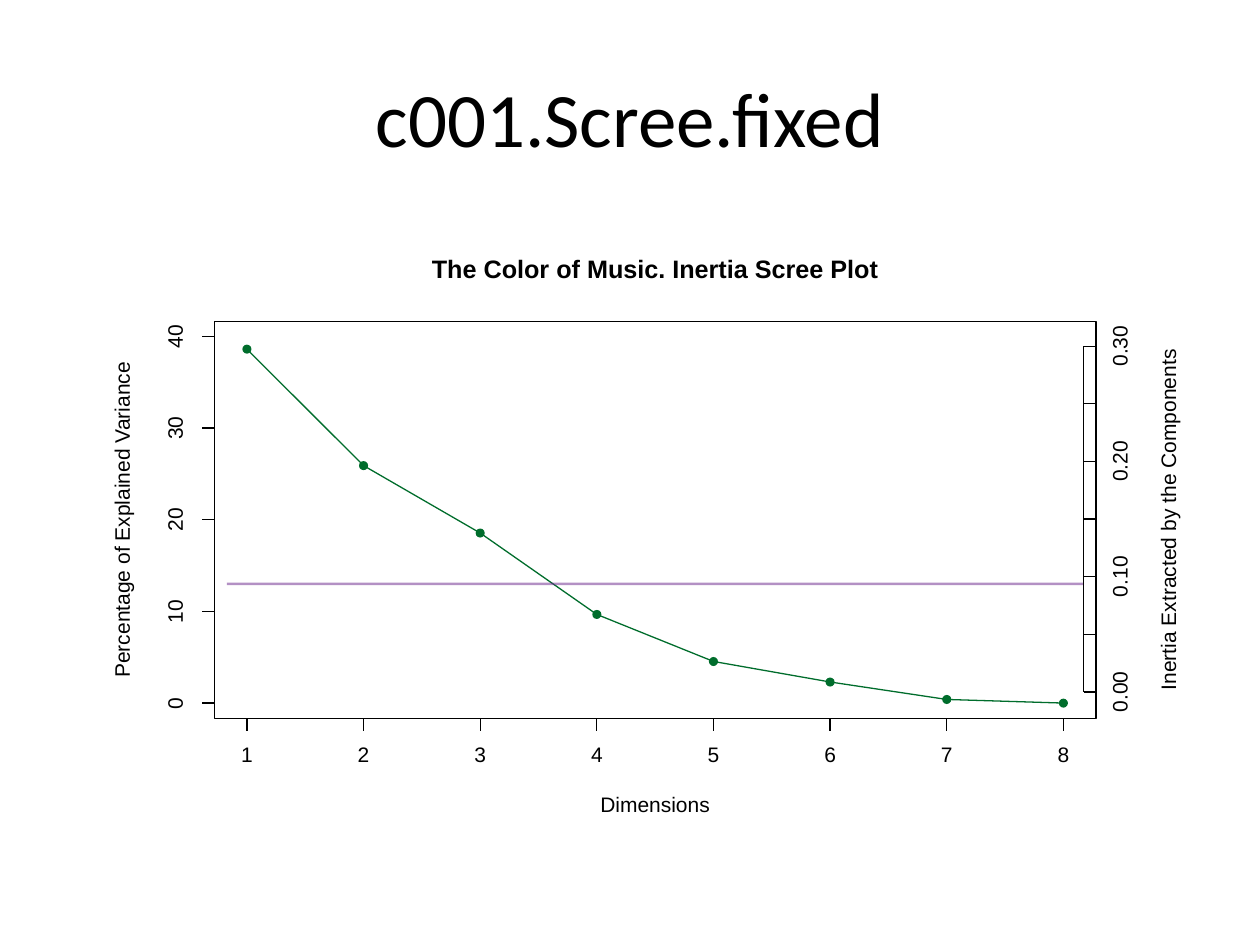
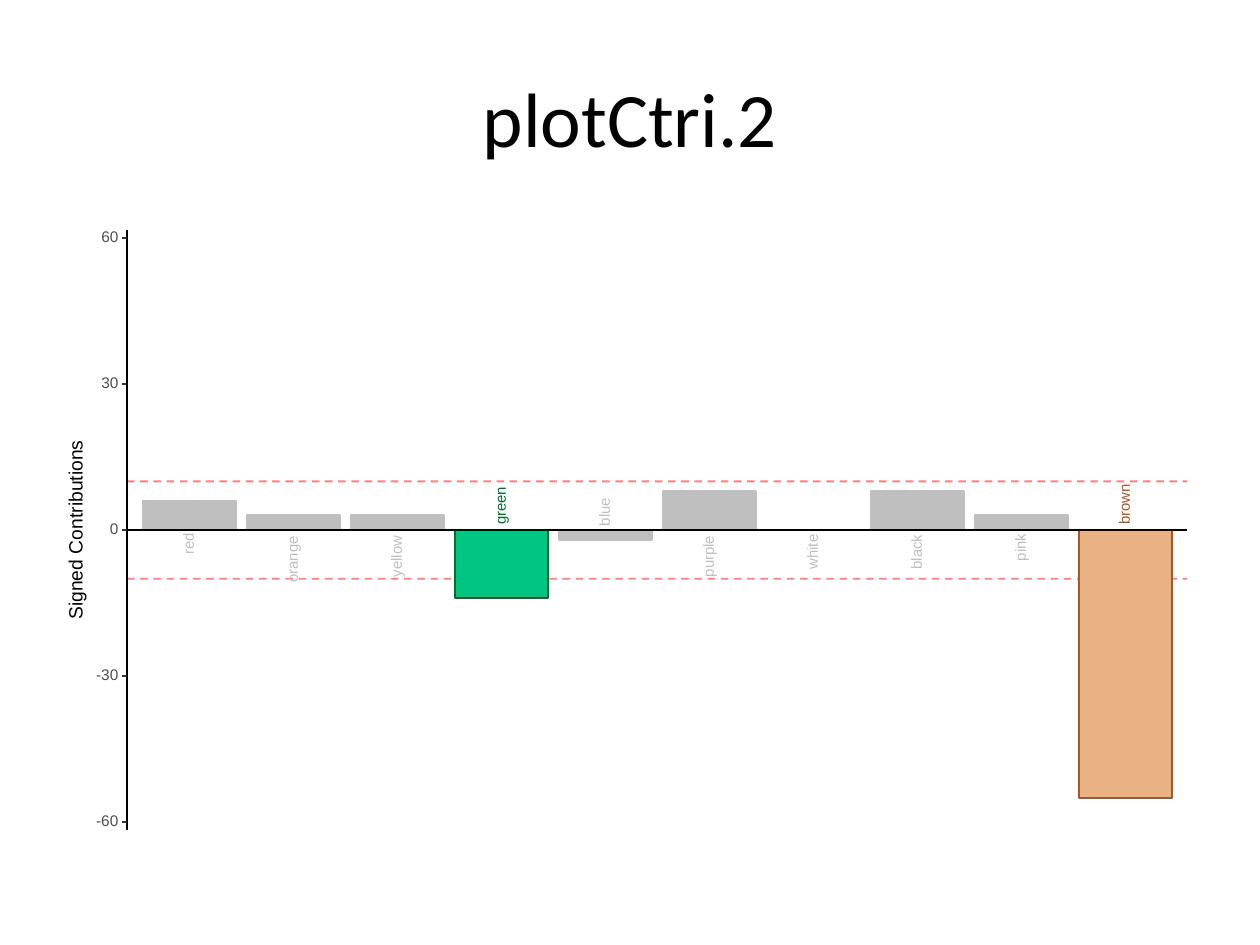
from lxml import etree
from pptx import Presentation
from pptx.dml.color import RGBColor
from pptx.enum import dml, shapes, text
from pptx.oxml import ns
from pptx.util import Pt

BLACK, WHITE, GREEN, GREY = "000000", "FFFFFF", "006D2C", "BFBFBF"
PURPLE, RED, BROWN, SLATE, DARK = "68228B", "FF0000", "A65628", "4D4D4D", "333333"
MINT, TAN = "00C582", "E9B285"
THIN, MID = 0.75, 1.07
SLACK = 14


def paint(fill, tone):
    fill.solid()
    fill.fore_color.rgb = RGBColor.from_string(tone)


def stroke(shape, tone, width):
    paint(shape.line.fill, tone)
    shape.line.width = Pt(width)


def line(group, x1, y1, x2, y2, tone=BLACK, width=THIN, dash=None, alpha=None):
    rule = group.shapes.add_connector(
        shapes.MSO_CONNECTOR.STRAIGHT, Pt(x1), Pt(y1), Pt(x2), Pt(y2))
    stroke(rule, tone, width)
    if dash:
        rule.line.dash_style = dash
    if alpha:
        hue = rule._element.spPr.find(".//" + ns.qn("a:srgbClr"))
        etree.SubElement(hue, ns.qn("a:alpha")).set("val", str(alpha * 1000))
    etree.SubElement(rule._element.spPr, ns.qn("a:effectLst"))


def block(group, x, y, w, h, fill=None, edge=None, width=THIN,
          kind=shapes.MSO_SHAPE.RECTANGLE):
    shape = group.shapes.add_shape(kind, Pt(x), Pt(y), Pt(w), Pt(h))
    shape.shadow.inherit = False
    if fill:
        paint(shape.fill, fill)
    else:
        shape.fill.background()
    if edge:
        stroke(shape, edge, width)
    else:
        shape.line.fill.background()


def curve(group, points, tone):
    spots = [(Pt(x), Pt(y)) for x, y in points]
    pen = group.shapes.build_freeform(*spots[0])
    pen.add_line_segments(spots[1:], close=False)
    shape = pen.convert_to_shape()
    shape.shadow.inherit = False
    shape.fill.background()
    stroke(shape, tone, THIN)


def style(para, words, font, size, tone, bold=False):
    para.text = words
    para.alignment = text.PP_ALIGN.CENTER
    para.font.name = font
    para.font.size = Pt(size)
    para.font.bold = bold
    paint(para.font.fill, tone)


def label(group, words, x, y, w, size=12, tone=BLACK, turn=0, bold=False):
    w, h = w + SLACK, size * 0.75
    box = group.shapes.add_textbox(Pt(x - w / 2), Pt(y - h / 2), Pt(w), Pt(h))
    box.rotation = turn
    frame = box.text_frame
    frame.word_wrap = False
    frame.vertical_anchor = text.MSO_ANCHOR.MIDDLE
    frame.margin_left = frame.margin_right = 0
    frame.margin_top = frame.margin_bottom = 0
    para = frame.paragraphs[0]
    style(para, words, "Arial", size, tone, bold)
    para.line_spacing = Pt(size)


def span(words, size=12):
    return size * sum({".": 0.28, "-": 0.33}.get(c, 0.56) for c in words)


def start(deck, words):
    slide = deck.slides.add_slide(deck.slide_layouts[5])
    title = slide.shapes.title
    title.left, title.top, title.width, title.height = map(Pt, (36, 21.6, 648, 90))
    title.text_frame.vertical_anchor = text.MSO_ANCHOR.MIDDLE
    style(title.text_frame.paragraphs[0], words, "Calibri", 44, BLACK)
    group = slide.shapes.add_group_shape()
    block(group, 36, 126, 648, 356.4, WHITE, WHITE)
    return group


def scree(deck):
    group = start(deck, "c001.Scree.fixed")
    left, top, right, base = 122.4, 183.6, 626.4, 410.4
    mid, half = (left + right) / 2, (top + base) / 2
    tick, inner = 7.2, right - 7.2
    shares = [38.6, 25.9, 18.55, 9.67, 4.54, 2.3, 0.4, 0]

    def rise(share):
        return 401.8 - 5.24 * share

    points = [(141.1 + 66.65 * i, rise(v)) for i, v in enumerate(shares)]
    curve(group, points, GREEN)
    line(group, points[0][0], base, points[-1][0], base)
    for i, (x, _) in enumerate(points, 1):
        line(group, x, base, x, base + tick)
        label(group, str(i), x, 432, span("0"))
    line(group, left, rise(0), left, rise(40))
    for share in range(0, 41, 10):
        y = rise(share)
        line(group, left, y, left - tick, y)
        label(group, str(share), 101, y, span(str(share)), turn=270)
    block(group, left, top, right - left, base - top, edge=BLACK)
    label(group, "The Color of Music. Inertia Scree Plot", mid, 154.8, 256,
          size=14.4, bold=True)
    label(group, "Dimensions", mid, 460.8, 62.6)
    label(group, "Percentage of Explained Variance", 70.6, half, 181.4, turn=270)
    for x, y in points:
        block(group, x - 2.6, y - 2.6, 5.2, 5.2, GREEN, kind=shapes.MSO_SHAPE.OVAL)
    line(group, left + tick, rise(13), inner, rise(13), PURPLE, 1.5, alpha=50)
    label(group, "Inertia Extracted by the Components", 668.5, half, 195, turn=270)
    line(group, inner, 395.4, inner, 197.8)
    for i in range(7):
        y = 395.4 - 32.93 * i
        line(group, inner, y, right, y)
        if i % 2 == 0:
            words = f"{i * 0.05:.2f}"
            label(group, words, 640.8, y, span(words), turn=270)


def contrib(deck):
    group = start(deck, "plotCtri.2")
    left, right, zero, unit = 72.6, 678.4, 302.9, 2.78
    wide, step = 53.4, 59.43
    bars = [("red", 6, 13), ("orange", 3, 28), ("yellow", 3, 25.2),
            ("green", -14, 23), ("blue", -2, 17.3), ("purple", 8, 25.2),
            ("white", 0, 20.9), ("black", 8, 20.9), ("pink", 3, 16.6),
            ("brown", -55, 24.5)]
    tones = {"green": (MINT, GREEN), "brown": (TAN, BROWN)}

    for bound in (10, -10):
        y = zero - unit * bound
        line(group, left, y, right, y, RED, MID, dml.MSO_LINE.DASH, 50)
    for i, (name, value, length) in enumerate(bars):
        x = 81.5 + step * i
        fill, edge = tones.get(name, (GREY, GREY))
        block(group, x, zero - unit * max(value, 0), wide, unit * abs(value),
              fill, edge, MID)
        side = -1 if value < 0 else 1
        label(group, name, x + wide / 2, zero + side * 0.6 * length, length,
              8.5, edge, 270)
    line(group, left, zero, right, zero, width=MID)
    line(group, left, 474.4, left, 131.6)
    for value in range(-60, 61, 30):
        y = zero - unit * value
        words = str(value)
        w = span(words, 8.8)
        label(group, words, 67.7 - w / 2, y, w, 8.8, SLATE)
        line(group, left - 2.7, y, left, y, DARK, MID)
    label(group, "Signed Contributions", 43.9, zero, 102.2, 11, turn=270)


def main():
    deck = Presentation()
    deck.slide_width, deck.slide_height = Pt(720), Pt(540)
    scree(deck)
    contrib(deck)
    deck.save("out.pptx")


main()
